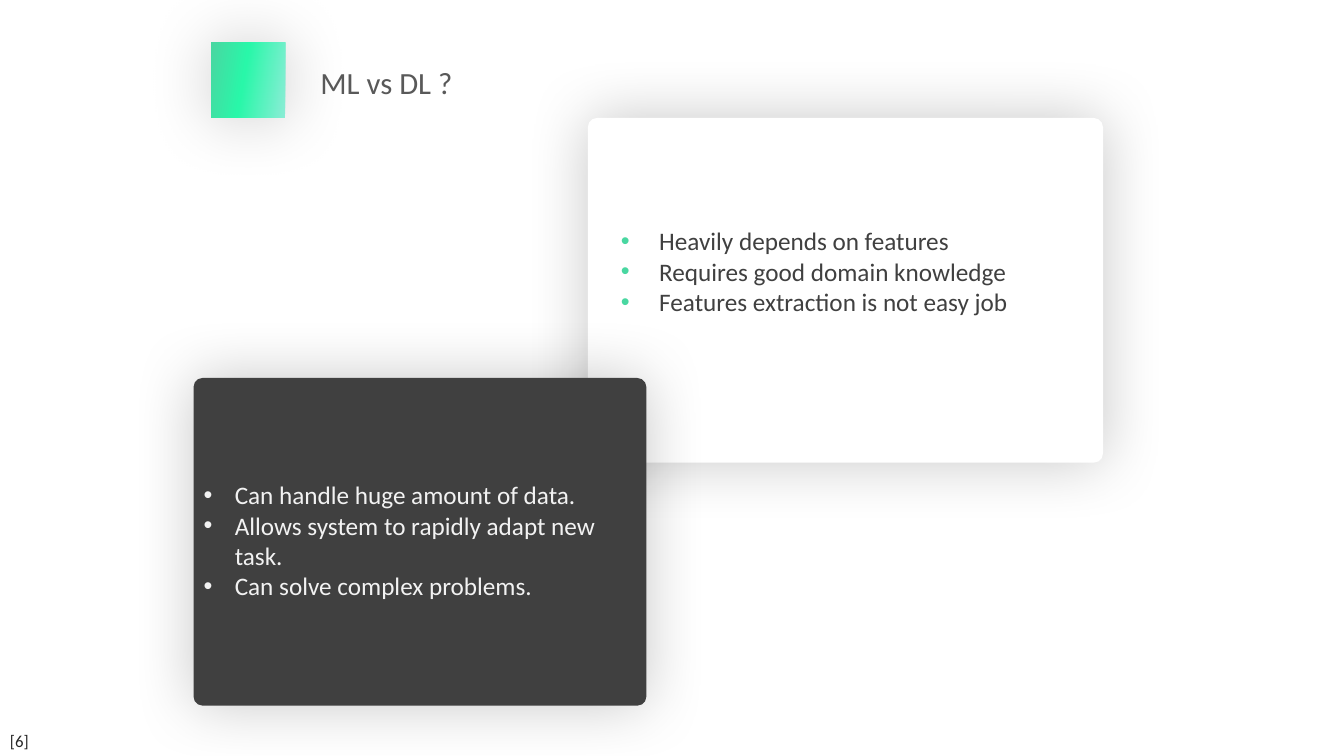
import copy

import pptx
import pptx.dml.color
import pptx.enum.shapes
import pptx.enum.text
import pptx.oxml
import pptx.oxml.ns
import pptx.util
from lxml import etree

Inches = pptx.util.Inches
RGBColor = pptx.dml.color.RGBColor
qn = pptx.oxml.ns.qn
SHAPES = pptx.enum.shapes.MSO_SHAPE

WHITE = RGBColor(0xFF, 0xFF, 0xFF)
CHARCOAL = RGBColor(0x40, 0x40, 0x40)
TITLE_GRAY = RGBColor(0x59, 0x59, 0x59)
NUMBER_GRAY = RGBColor(0x26, 0x26, 0x26)
PALE_GRAY = RGBColor(0xF2, 0xF2, 0xF2)
GREEN = RGBColor(0x49, 0xD7, 0xA1)
BRIGHT_GREEN = RGBColor(0x29, 0xF7, 0xA9)
AQUA = RGBColor(0x8B, 0xED, 0xD6)


def add_glow_shape(slide, kind, box, blur, opacity):
    """Add an unlined shape with a soft, centred black shadow."""
    shape = slide.shapes.add_shape(kind, *map(Inches, box))
    shape.line.fill.background()
    shape.shadow.inherit = False
    effects = shape._element.spPr.find(qn("a:effectLst"))
    shadow = etree.SubElement(
        effects, qn("a:outerShdw"), blurRad=str(pptx.util.Pt(blur)),
        dist="0", dir="0", algn="ctr", rotWithShape="0")
    color = etree.SubElement(shadow, qn("a:srgbClr"), val="000000")
    etree.SubElement(color, qn("a:alpha"), val=str(opacity * 1000))
    return shape


def add_card(slide, box, color):
    """Add a slightly rounded card."""
    card = add_glow_shape(slide, SHAPES.ROUNDED_RECTANGLE, box, 45, 21)
    card.adjustments[0] = 0.027
    card.fill.solid()
    card.fill.fore_color.rgb = color


def add_gradient_square(slide, box, stops):
    """Add the flipped, rotated square with its gradient."""
    square = add_glow_shape(slide, SHAPES.RECTANGLE, box, 48, 20)
    square.rotation = 90
    properties = square._element.spPr
    properties.find(qn("a:xfrm")).set("flipH", "1")
    square.fill.gradient()
    square.fill.gradient_angle = 280
    stop_list = properties.find(qn("a:gradFill")).find(qn("a:gsLst"))
    stop_list.append(copy.deepcopy(stop_list[0]))
    for stop, (position, color) in zip(square.fill.gradient_stops, stops):
        stop.position = position
        stop.color.rgb = color


def add_bullet(paragraph, indent, color):
    """Give a paragraph a hanging bullet."""
    properties = paragraph._p.get_or_add_pPr()
    properties.set("marL", str(Inches(indent)))
    properties.set("indent", str(-Inches(indent)))
    bullet_color = etree.SubElement(properties, qn("a:buClr"))
    etree.SubElement(bullet_color, qn("a:srgbClr"), val=str(color))
    etree.SubElement(properties, qn("a:buFont"), typeface="Arial")
    etree.SubElement(properties, qn("a:buChar"), char="•")


def add_text(slide, box, lines, size, color, indent=0, bullet_color=None):
    """Add a text box with one paragraph a line, bulleted on request."""
    frame = slide.shapes.add_textbox(*map(Inches, box)).text_frame
    frame.word_wrap = True
    frame.auto_size = pptx.enum.text.MSO_AUTO_SIZE.SHAPE_TO_FIT_TEXT
    for index, line in enumerate(lines):
        paragraph = frame.add_paragraph() if index else frame.paragraphs[0]
        if bullet_color is not None:
            add_bullet(paragraph, indent, bullet_color)
        run = paragraph.add_run()
        run.text = line
        run.font.name = "Calibri"
        run.font.size = pptx.util.Pt(size)
        run.font.color.rgb = color


def main():
    """Build and save the slide."""
    presentation = pptx.Presentation()
    presentation.slide_width = Inches(13.33)
    presentation.slide_height = Inches(7.5)
    slide = presentation.slides.add_slide(presentation.slide_layouts[6])

    add_card(slide, (5.83, 1.17, 5.11, 3.42), WHITE)
    add_gradient_square(slide, (2.09, 0.43, 0.75, 0.73),
                        [(0, AQUA), (0.56, BRIGHT_GREEN), (1, GREEN)])
    add_text(slide, (3.08, 0.58, 3.25, 0.47), ["ML vs DL ?"], 22, TITLE_GRAY)
    add_text(slide, (6.06, 2.19, 4.88, 1.01),
             ["Heavily depends on features",
              "Requires good domain knowledge",
              "Features extraction is not easy job"],
             18, CHARCOAL, 0.38, GREEN)
    add_card(slide, (1.92, 3.75, 4.49, 3.25), CHARCOAL)
    add_text(slide, (1.92, 4.71, 4.42, 1.31),
             ["Can handle huge amount of data.",
              "Allows system to rapidly adapt new task.",
              "Can solve complex problems."],
             18, PALE_GRAY, 0.31, PALE_GRAY)
    add_text(slide, (0, 7.2, 0.52, 0.3), ["[6]"], 12, NUMBER_GRAY)
    presentation.save("out.pptx")


if __name__ == "__main__":
    main()
